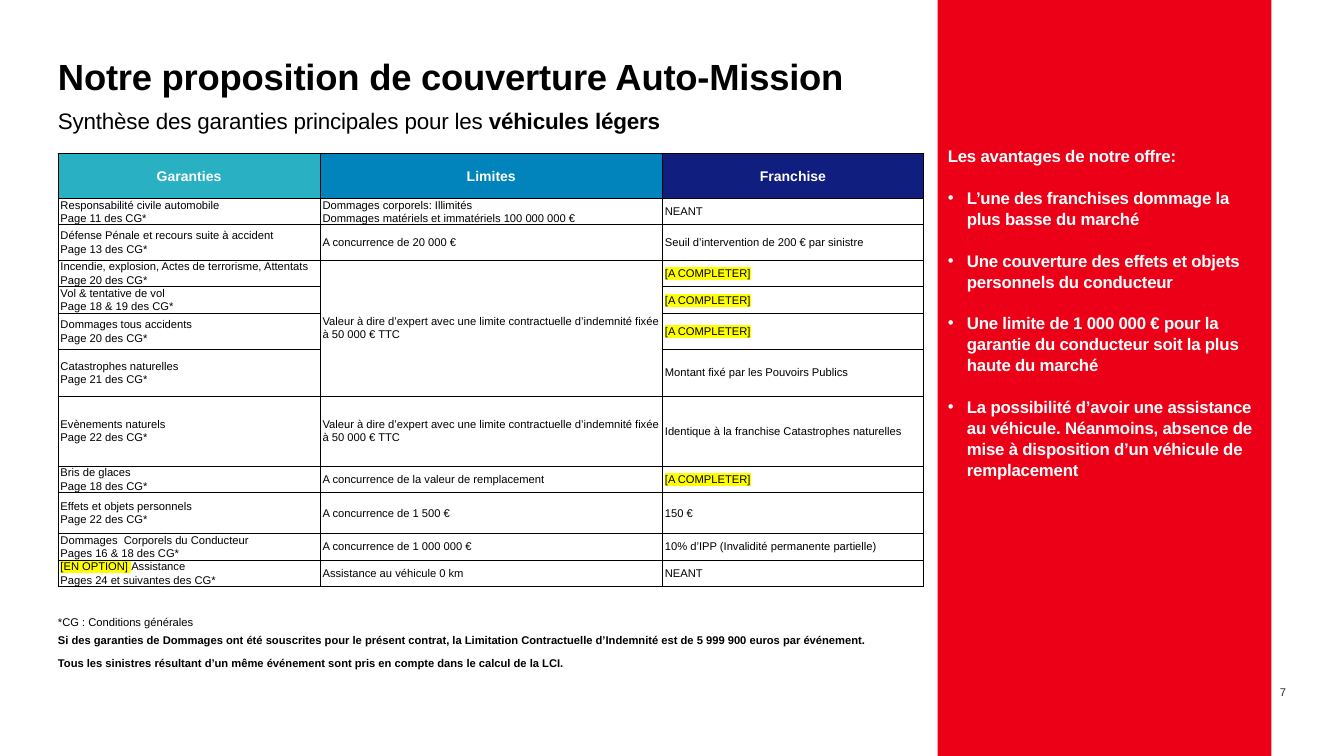
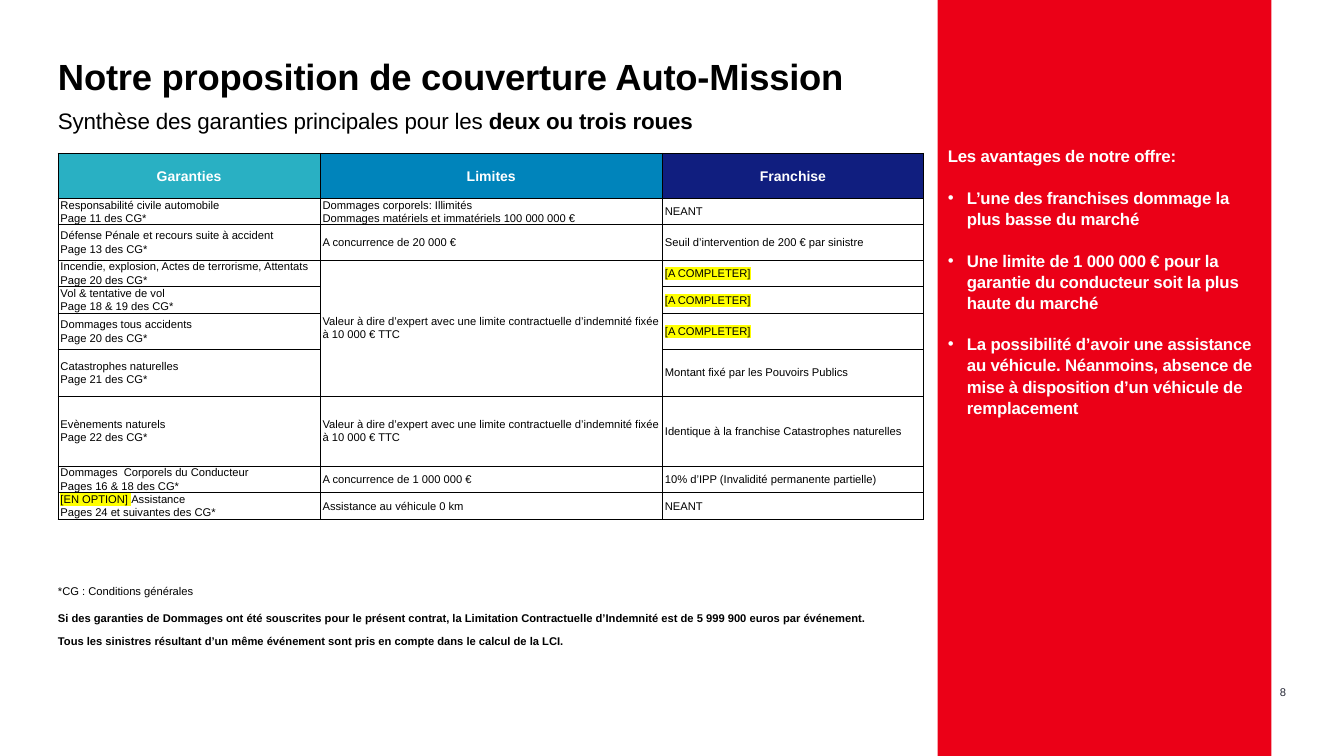
from pptx import Presentation
from pptx.dml.color import RGBColor
from pptx.enum.shapes import MSO_SHAPE
from pptx.enum.text import MSO_ANCHOR, MSO_AUTO_SIZE, PP_ALIGN
from pptx.oxml.ns import qn
from pptx.util import Pt
from lxml.etree import SubElement

COLORS = {
    "text": "000000", "white": "FFFFFF", "number": "262836", "band": "EB0017",
    "teal": "29B0C3", "blue": "0084BB", "navy": "101E7F",
    "border": "000000", "mark": "FFFF00",
}
FONT = "Arial"
LEFT, WIDTH = 82.8, 1236.24
BAND_LEFT, BAND_WIDTH = 1339.2, 476.64
SLIDE_WIDTH, SLIDE_HEIGHT = 1919.52, 1080

# Table content shared by the slides
COLUMN_WIDTHS = [374.4, 488.88, 372.96]
HEADERS = [("Garanties", "teal", 6), ("Limites", "blue", 7.2), ("Franchise", "navy", 7.2)]
HEADER_HEIGHT, SHORT_ROW = 64.08, 24.48
MERGED_ROWS = (3, 6)
TO_COMPLETE = "[A COMPLETER]"

# Side band content
OFFER_HEADING = "Les avantages de notre offre:"
LOW_EXCESS = "L’une des franchises dommage la plus basse du marché"
BELONGINGS = "Une couverture des effets et objets personnels du conducteur"
DRIVER_LIMIT = ("Une limite de 1 000 000 € pour la garantie du conducteur "
                "soit la plus haute du marché")
ASSISTANCE = ("La possibilité d’avoir une assistance au véhicule. Néanmoins, absence de "
              "mise à disposition d’un véhicule de remplacement")

FOOTNOTE = "*CG : Conditions générales"
CONDITIONS = [
    "Si des garanties de Dommages ont été souscrites pour le présent contrat, la Limitation "
    "Contractuelle d’Indemnité est de 5 999 900 euros par événement.",
    "Tous les sinistres résultant d’un même événement sont pris en compte dans le calcul de la LCI.",
]


def guarantee_rows(limit, extra_rows=()):
    """Rows as (height, guarantee, limit, excess)."""
    expert_value = ("Valeur à dire d’expert avec une limite contractuelle "
                    f"d’indemnité fixée à {limit} € TTC")
    return [
        (SHORT_ROW, "Responsabilité civile automobile\nPage 11 des CG*",
         "Dommages corporels: Illimités\nDommages matériels et immatériels 100 000 000 €", "NEANT"),
        (50.4, "Défense Pénale et recours suite à accident\nPage 13 des CG*",
         "A concurrence de 20 000 €", "Seuil d’intervention de 200 € par sinistre"),
        (SHORT_ROW, "Incendie, explosion, Actes de terrorisme, Attentats\nPage 20 des CG*",
         expert_value, TO_COMPLETE),
        (SHORT_ROW, "Vol & tentative de vol\nPage 18 & 19 des CG*", None, TO_COMPLETE),
        (51.84, "Dommages tous accidents\nPage 20 des CG*", None, TO_COMPLETE),
        (66.24, "Catastrophes naturelles\nPage 21 des CG*", None,
         "Montant fixé par les Pouvoirs Publics"),
        (100.08, "Evènements naturels\nPage 22 des CG*", expert_value,
         "Identique à la franchise Catastrophes naturelles"),
        *extra_rows,
        (SHORT_ROW, "Dommages  Corporels du Conducteur\nPages 16 & 18 des CG*",
         "A concurrence de 1 000 000 €", "10% d’IPP (Invalidité permanente partielle)"),
        (SHORT_ROW, "[EN OPTION] Assistance\nPages 24 et suivantes des CG*",
         "Assistance au véhicule 0 km", "NEANT"),
    ]


LIGHT_VEHICLE_ROWS = [
    (SHORT_ROW, "Bris de glaces\nPage 18 des CG*",
     "A concurrence de la valeur de remplacement", TO_COMPLETE),
    (58.32, "Effets et objets personnels\nPage 22 des CG*", "A concurrence de 1 500 €", "150 €"),
]


class SlideBuilder:
    def __init__(self, deck):
        self.deck = deck
        self.page = None

    def new_page(self):
        self.page = self.deck.slides.add_slide(self.deck.slide_layouts[1])
        for holder in list(self.page.placeholders):
            if holder.placeholder_format.idx > 1:
                holder.element.getparent().remove(holder.element)

    # Text helpers
    def place(self, shape, left, top, width, height):
        shape.left, shape.top = Pt(left), Pt(top)
        shape.width, shape.height = Pt(width), Pt(height)

    def frame(self, box, anchor=MSO_ANCHOR.TOP, inset=0):
        frame = box.text_frame
        frame.word_wrap = True
        frame.auto_size = MSO_AUTO_SIZE.NONE
        frame.vertical_anchor = anchor
        frame.margin_left = frame.margin_right = Pt(inset)
        frame.margin_top = frame.margin_bottom = Pt(inset)
        return frame

    def paragraph(self, frame, first, align=PP_ALIGN.LEFT, line=1.0, before=0, after=0):
        para = frame.paragraphs[0] if first else frame.add_paragraph()
        para.alignment = align
        para.line_spacing = line
        para.space_before, para.space_after = Pt(before), Pt(after)
        return para

    def run(self, para, text, size, color="text", bold=False, spacing=0, mark=False):
        span = para.add_run()
        span.text = text
        font = span.font
        font.size, font.bold = Pt(size), bold
        font.color.rgb = RGBColor.from_string(COLORS[color])
        properties = span._r.get_or_add_rPr()
        if spacing:
            properties.set("spc", str(round(spacing * 100)))
        if mark:
            highlight = SubElement(properties, qn("a:highlight"))
            SubElement(highlight, qn("a:srgbClr"), val=COLORS["mark"])
        font.name = FONT

    def bullet(self, para, indent=0):
        properties = para._p.get_or_add_pPr()
        properties.set("marL", str(Pt(indent)))
        properties.set("indent", str(-Pt(indent)))
        if indent:
            SubElement(properties, qn("a:buChar"), char="•")
        else:
            SubElement(properties, qn("a:buNone"))

    def text_box(self, left, top, width, height, anchor=MSO_ANCHOR.TOP):
        box = self.page.shapes.add_textbox(Pt(left), Pt(top), Pt(width), Pt(height))
        return self.frame(box, anchor)

    # Slide elements
    def title(self, text):
        holder = self.page.shapes.title
        self.place(holder, LEFT, 75.6, WIDTH, 64.8)
        para = self.paragraph(self.frame(holder, MSO_ANCHOR.BOTTOM), True)
        self.run(para, text, 52, bold=True, spacing=-0.3)

    def subtitle(self, vehicles):
        frame = self.text_box(LEFT, 139.68, WIDTH, 64.8, MSO_ANCHOR.MIDDLE)
        para = self.paragraph(frame, True)
        self.run(para, "Synthèse des garanties principales pour les ", 32, spacing=-0.3)
        self.run(para, vehicles, 32, bold=True, spacing=-0.3)

    def page_number(self, number):
        frame = self.text_box(1776.24, 941.04, 60.48, 57.6, MSO_ANCHOR.BOTTOM)
        para = self.paragraph(frame, True, PP_ALIGN.RIGHT, after=6)
        self.run(para, str(number), 16, "number")

    def advantages(self, items):
        band = self.page.shapes.add_shape(
            MSO_SHAPE.RECTANGLE, Pt(BAND_LEFT), 0, Pt(BAND_WIDTH), Pt(SLIDE_HEIGHT))
        band.shadow.inherit = False
        band.fill.solid()
        band.fill.fore_color.rgb = RGBColor.from_string(COLORS["band"])
        band.line.fill.background()

        body = self.page.placeholders[1]
        body.element.addprevious(band.element)
        self.place(body, BAND_LEFT, 192.96, BAND_WIDTH, 772.56)
        frame = self.frame(body, inset=14.4)
        for index, text in enumerate([OFFER_HEADING, *items]):
            para = self.paragraph(frame, index == 0, line=1.05, before=29 if index else 0)
            self.bullet(para, 27.36 if index else 0)
            self.run(para, text, 24, "white", bold=True, spacing=-0.3)

    def cell(self, cell, fill=None):
        cell.vertical_anchor = MSO_ANCHOR.MIDDLE
        cell.margin_left = cell.margin_right = Pt(3.6)
        cell.margin_top = cell.margin_bottom = 0
        properties = cell._tc.get_or_add_tcPr()
        for side in ("lnL", "lnR", "lnT", "lnB"):
            line = SubElement(properties, qn(f"a:{side}"), w=str(Pt(1)))
            solid = SubElement(line, qn("a:solidFill"))
            SubElement(solid, qn("a:srgbClr"), val=COLORS["border"])
        if fill:
            cell.fill.solid()
            cell.fill.fore_color.rgb = RGBColor.from_string(COLORS[fill])
        else:
            cell.fill.background()

    def cell_text(self, cell, text):
        for index, line in enumerate(text.split("\n")):
            para = self.paragraph(cell.text_frame, index == 0, line=1.07)
            marked, bracket, rest = line.partition("]")
            if bracket:
                self.run(para, marked + bracket + (" " if rest else ""), 16, mark=True)
                line = rest.lstrip()
            if line:
                self.run(para, line, 16)

    def table(self, rows, height):
        table = self.page.shapes.add_table(
            len(rows) + 1, len(HEADERS), Pt(LEFT), Pt(218.88), Pt(WIDTH), Pt(height)).table
        table.horz_banding = False
        table.first_row = False
        for column, width in zip(table.columns, COLUMN_WIDTHS):
            column.width = Pt(width)
        table.rows[0].height = Pt(HEADER_HEIGHT)
        for index, (text, fill, gap) in enumerate(HEADERS):
            cell = table.cell(0, index)
            self.cell(cell, fill)
            para = self.paragraph(cell.text_frame, True, PP_ALIGN.CENTER, 1.07, gap, gap)
            self.run(para, text, 20, "white", bold=True)
        for row, (row_height, *texts) in enumerate(rows, start=1):
            table.rows[row].height = Pt(row_height)
            for column, text in enumerate(texts):
                cell = table.cell(row, column)
                self.cell(cell)
                if text:
                    self.cell_text(cell, text)
        first, last = MERGED_ROWS
        table.cell(first, 1).merge(table.cell(last, 1))

    def notes(self, top, height, texts, bold=False):
        frame = self.text_box(LEFT, top, WIDTH, height)
        for index, text in enumerate(texts):
            para = self.paragraph(frame, index == 0, line=1.17, after=10)
            self.run(para, text, 16, bold=bold)

    def coverage_page(self, number, vehicles, rows, table_height, items, note_top, note_height):
        self.new_page()
        self.title("Notre proposition de couverture Auto-Mission")
        self.advantages(items)
        self.page_number(number)
        self.subtitle(vehicles)
        self.table(rows, table_height)
        self.notes(note_top, note_height, [FOOTNOTE])
        self.notes(note_top + note_height, 64.08, CONDITIONS, bold=True)


def main():
    deck = Presentation()
    deck.slide_width, deck.slide_height = Pt(SLIDE_WIDTH), Pt(SLIDE_HEIGHT)
    builder = SlideBuilder(deck)

    # Light vehicles
    builder.coverage_page(
        7, "véhicules légers", guarantee_rows("50 000", LIGHT_VEHICLE_ROWS), 655.92,
        [LOW_EXCESS, BELONGINGS, DRIVER_LIMIT, ASSISTANCE], 876.24, 25.92)

    # Two and three wheelers
    builder.coverage_page(
        8, "deux ou trois roues", guarantee_rows("10 000"), 556.56,
        [LOW_EXCESS, DRIVER_LIMIT, ASSISTANCE], 830.88, 39.6)

    deck.save("out.pptx")


if __name__ == "__main__":
    main()
